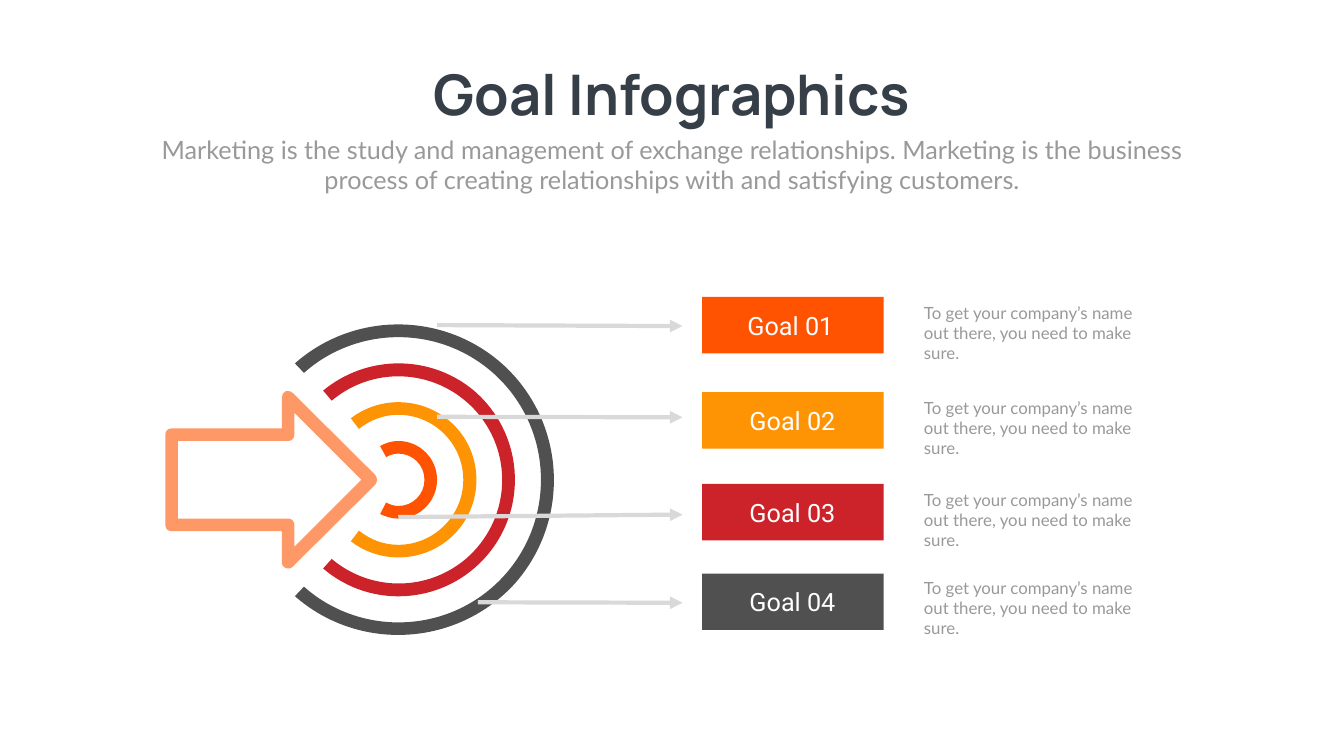
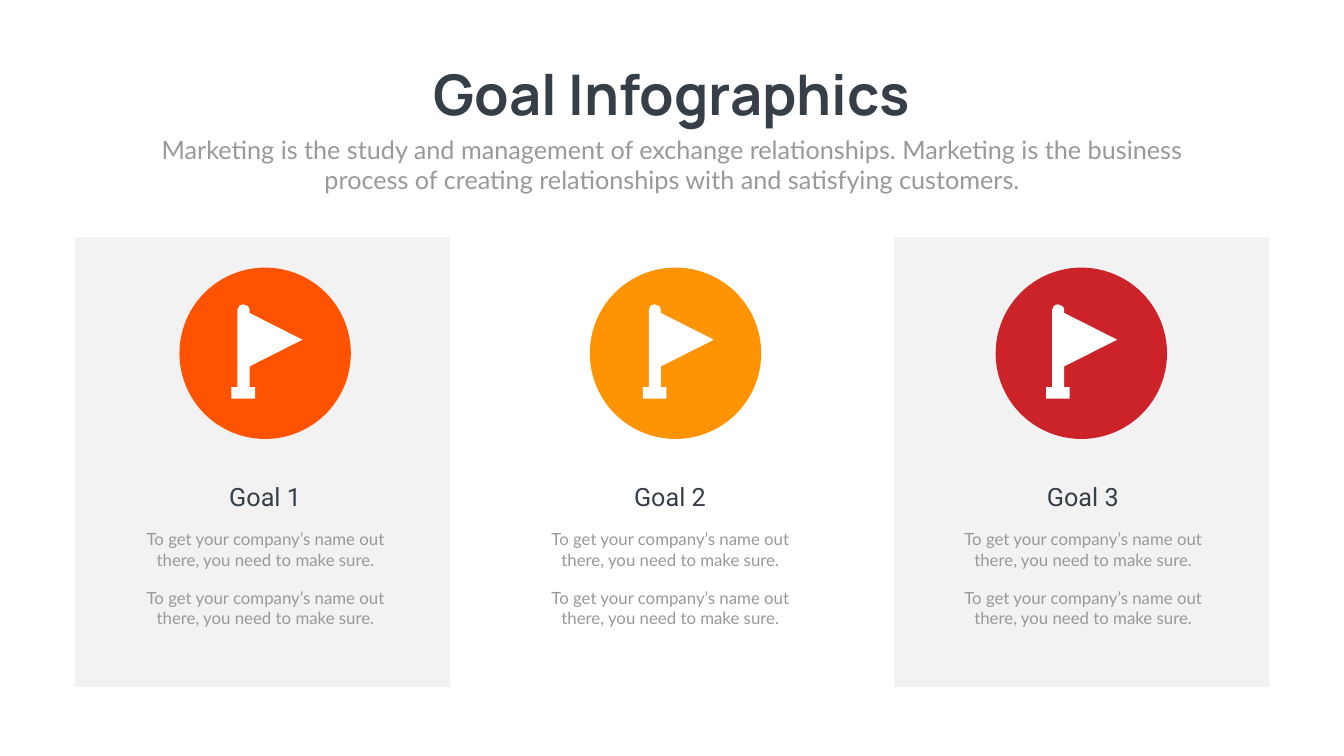
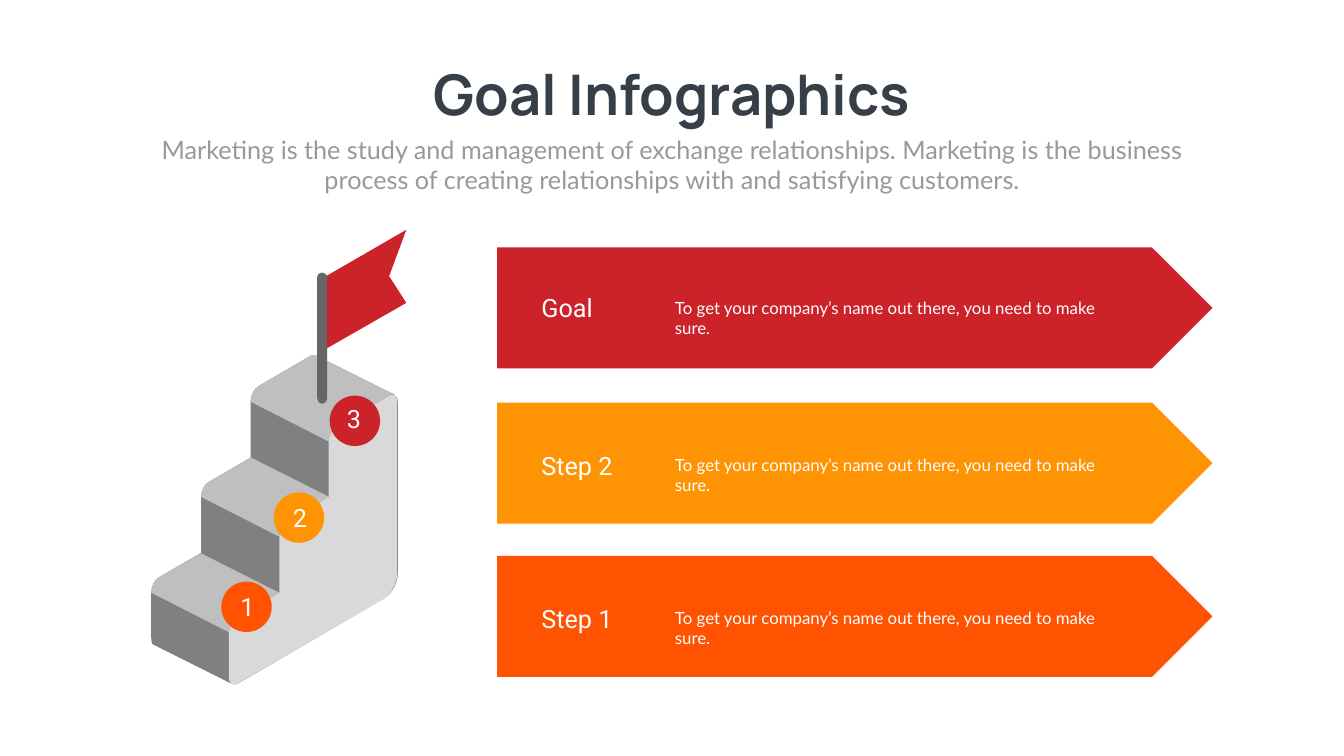
from typing import NamedTuple, Sequence

from lxml import etree
from pptx import Presentation
from pptx.dml.color import RGBColor
from pptx.enum.shapes import MSO_CONNECTOR, MSO_SHAPE
from pptx.enum.text import MSO_ANCHOR, MSO_AUTO_SIZE, PP_ALIGN
from pptx.oxml.ns import qn
from pptx.util import Inches, Pt

RECT, ELLIPSE, PLATE = MSO_SHAPE.RECTANGLE, MSO_SHAPE.OVAL, MSO_SHAPE.PENTAGON
STRAIGHT = MSO_CONNECTOR.STRAIGHT
LEFT, CENTER = PP_ALIGN.LEFT, PP_ALIGN.CENTER
TOP, MIDDLE = MSO_ANCHOR.TOP, MSO_ANCHOR.MIDDLE
GROW = MSO_AUTO_SIZE.SHAPE_TO_FIT_TEXT

WHITE = RGBColor(0xFF, 0xFF, 0xFF)
NAVY = RGBColor(0x36, 0x3E, 0x48)
TEXT_GREY = RGBColor(0x99, 0x99, 0x99)
PANEL = RGBColor(0xF2, 0xF2, 0xF2)
ORANGE = RGBColor(0xFF, 0x53, 0x01)
AMBER = RGBColor(0xFE, 0x93, 0x04)
RED = RGBColor(0xCC, 0x22, 0x29)
CHARCOAL = RGBColor(0x4F, 0x50, 0x4F)
PEACH = RGBColor(0xFF, 0x98, 0x67)
LIGHT_GREY = RGBColor(0xD9, 0xD9, 0xD9)
TREAD_GREY = RGBColor(0xBF, 0xBF, 0xBF)
RISER_GREY = RGBColor(0x80, 0x80, 0x80)
POLE_GREY = RGBColor(0x66, 0x66, 0x66)

TITLE = "Goal Infographics"
SUBTITLE = (
    "Marketing is the study and management of exchange relationships. "
    "Marketing is the business process of creating relationships with "
    "and satisfying customers."
)
BODY = "To get your company’s name out there, you need to make sure."

# A contour is a list of points (x, y) and cubic curves (x1, y1, x2, y2, x, y).
Contour = Sequence[tuple]


class TextStyle(NamedTuple):
    font: str
    size: int
    color: RGBColor
    align: PP_ALIGN = LEFT
    bold: bool = False


TITLE_STYLE = TextStyle("Manrope", 80, NAVY, CENTER, True)
SUBTITLE_STYLE = TextStyle("Lato", 36, TEXT_GREY, CENTER)
BODY_STYLE = TextStyle("Lato", 24, TEXT_GREY)
LABEL_STYLE = TextStyle("Roboto", 36, WHITE, CENTER)


class GoalRow(NamedTuple):
    label: str
    color: RGBColor
    top: float
    text_top: float
    label_left: float = 14.09


class Card(NamedTuple):
    label: str
    color: RGBColor
    circle_left: float
    text_left: float
    flag_left: float


class Plate(NamedTuple):
    label: str
    color: RGBColor
    top: float
    text_top: float


class Badge(NamedTuple):
    number: str
    color: RGBColor
    left: float
    top: float
    text_left: float
    text_top: float


ROWS = [
    GoalRow("Goal 01", ORANGE, 5.89, 5.95, 14.05),
    GoalRow("Goal 02", AMBER, 7.78, 7.84),
    GoalRow("Goal 03", RED, 9.6, 9.66),
    GoalRow("Goal 04", CHARCOAL, 11.38, 11.41),
]
POINTER_END = 13.54
POINTERS = [(7.9, 10.26, 10.21), (8.67, 6.45, 6.47), (8.67, 8.27, 8.28), (9.48, 11.95, 11.96)]

CARDS = [
    Card("Goal 1", ORANGE, 3.56, 2.47, 4.59),
    Card("Goal 2", AMBER, 11.7, 10.5, 12.75),
    Card("Goal 3", RED, 19.75, 18.69, 20.75),
]
PLATES = [
    Plate("Goal", RED, 4.91, 5.85),
    Plate("Step 2", AMBER, 7.99, 8.97),
    Plate("Step 1", ORANGE, 11.03, 12.01),
]
BADGES = [
    Badge("1", ORANGE, 4.39, 11.54, 4.35, 11.69),
    Badge("2", AMBER, 5.43, 9.77, 5.39, 9.92),
    Badge("3", RED, 6.54, 7.85, 6.46, 7.96),
]

ARROW_OUTER = [
    (3.41, 10.54), (5.59, 10.54), (5.59, 11.16),
    (5.59, 11.23, 5.65, 11.28, 5.72, 11.28), (5.76, 11.28, 5.78, 11.27, 5.81, 11.24),
    (7.44, 9.62), (7.49, 9.56, 7.49, 9.48, 7.44, 9.42), (5.81, 7.8),
    (5.78, 7.77, 5.75, 7.76, 5.72, 7.76), (5.7, 7.76, 5.69, 7.76, 5.67, 7.76),
    (5.63, 7.78, 5.59, 7.83, 5.59, 7.88),
    (5.59, 8.5), (3.41, 8.5), (3.34, 8.5, 3.28, 8.54, 3.28, 8.62),
    (3.28, 10.42), (3.28, 10.5, 3.34, 10.54, 3.41, 10.54),
]
ARROW_INNER = [
    (3.53, 8.75), (5.72, 8.75), (5.79, 8.75, 5.84, 8.69, 5.84, 8.62), (5.84, 8.19),
    (7.17, 9.52), (5.84, 10.85), (5.84, 10.42),
    (5.84, 10.35, 5.79, 10.29, 5.72, 10.29), (3.53, 10.29),
]
RED_RING = [
    (6.41, 11.28), (7.38, 12.11, 8.84, 11.99, 9.67, 11.01),
    (10.49, 10.04, 10.37, 8.58, 9.4, 7.75), (8.54, 7.03, 7.28, 7.03, 6.41, 7.75),
    (6.58, 7.95), (7.45, 7.22, 8.73, 7.33, 9.47, 8.19),
    (10.21, 9.06, 10.1, 10.35, 9.24, 11.09), (8.47, 11.74, 7.35, 11.74, 6.58, 11.09),
]
AMBER_RING = [
    (6.96, 10.74), (7.23, 10.95, 7.57, 11.06, 7.9, 11.06),
    (8.76, 11.06, 9.45, 10.38, 9.45, 9.52), (9.45, 8.66, 8.76, 7.98, 7.9, 7.98),
    (7.57, 7.98, 7.23, 8.09, 6.96, 8.3), (7.12, 8.51),
    (7.35, 8.33, 7.61, 8.23, 7.9, 8.23), (8.61, 8.23, 9.19, 8.81, 9.19, 9.52),
    (9.19, 10.23, 8.61, 10.81, 7.9, 10.81), (7.61, 10.81, 7.35, 10.71, 7.12, 10.53),
]
ORANGE_RING = [
    (7.9, 10.29), (8.33, 10.29, 8.67, 9.94, 8.67, 9.52),
    (8.67, 9.1, 8.33, 8.75, 7.9, 8.75), (7.77, 8.75, 7.65, 8.79, 7.54, 8.85),
    (7.66, 9.07), (7.73, 9.03, 7.82, 9, 7.9, 9),
    (8.19, 9, 8.42, 9.23, 8.42, 9.52), (8.42, 9.81, 8.19, 10.04, 7.9, 10.04),
    (7.82, 10.04, 7.73, 10.01, 7.66, 9.97), (7.54, 10.2),
    (7.65, 10.25, 7.77, 10.29, 7.9, 10.29),
]
CHARCOAL_RING = [
    (7.9, 6.69), (9.47, 6.69, 10.73, 7.95, 10.73, 9.52),
    (10.73, 11.09, 9.47, 12.35, 7.9, 12.35), (7.22, 12.35, 6.54, 12.1, 6.03, 11.64),
    (5.85, 11.83), (7.13, 12.95, 9.08, 12.83, 10.22, 11.57),
    (11.34, 10.29, 11.22, 8.34, 9.95, 7.21), (8.78, 6.18, 7.02, 6.18, 5.85, 7.21),
    (6.03, 7.4), (6.54, 6.94, 7.22, 6.69, 7.9, 6.69),
]
RINGS = [(RED, RED_RING), (AMBER, AMBER_RING), (ORANGE, ORANGE_RING), (CHARCOAL, CHARCOAL_RING)]

FLAG_ICON = [
    (0.36, 1.23), (1.41, 0.7), (0.36, 0.17), (0.36, 0.11),
    (0.36, 0.05, 0.3, 0, 0.24, 0), (0.17, 0, 0.12, 0.05, 0.12, 0.11),
    (0.12, 1.64), (0, 1.64), (0, 1.87), (0.47, 1.87), (0.47, 1.64), (0.36, 1.64),
]
STAIR_BACK = [
    (7.82, 7.83), (6.28, 7.06), (6.24, 7.04, 6.22, 7.04, 6.16, 7.06),
    (5.13, 7.66), (5.04, 7.71, 4.97, 7.85, 4.97, 7.97), (4.97, 9.08),
    (4.15, 9.56), (4.06, 9.61, 3.99, 9.74, 3.99, 9.86), (3.99, 10.97),
    (3.16, 11.45), (3.06, 11.5, 3, 11.64, 3, 11.76), (3, 12.66),
    (3, 12.71, 3.01, 12.75, 3.02, 12.78), (4.6, 13.57),
    (4.63, 13.58, 4.67, 13.58, 4.71, 13.57), (7.62, 11.87),
    (7.77, 11.8, 7.89, 11.57, 7.89, 11.37), (7.89, 7.97),
    (7.89, 7.9, 7.86, 7.86, 7.82, 7.83),
]
STAIR_SIDE = [
    (6.52, 8.76), (6.52, 9.86), (5.7, 10.35), (5.6, 10.39, 5.54, 10.54, 5.54, 10.64),
    (5.54, 11.76), (4.7, 12.25), (4.61, 12.3, 4.54, 12.43, 4.54, 12.55),
    (4.54, 13.44), (4.54, 13.56, 4.61, 13.61, 4.7, 13.57), (7.62, 11.88),
    (7.76, 11.8, 7.88, 11.57, 7.88, 11.37), (7.88, 7.97),
    (7.88, 7.85, 7.8, 7.8, 7.72, 7.85), (6.68, 8.46),
    (6.6, 8.5, 6.52, 8.64, 6.52, 8.76),
]
LOW_TREAD = [
    (4.71, 12.25), (5.54, 11.76), (3.99, 10.98), (3.16, 11.45),
    (3.06, 11.5, 3, 11.64, 3, 11.76), (4.55, 12.55), (4.55, 12.43, 4.61, 12.3, 4.71, 12.25),
]
TOP_TREAD = [
    (6.68, 8.46), (7.72, 7.85), (7.75, 7.82, 7.79, 7.82, 7.82, 7.83),
    (6.28, 7.06), (6.24, 7.04, 6.21, 7.04, 6.16, 7.06), (5.13, 7.66),
    (5.04, 7.71, 4.97, 7.85, 4.97, 7.97), (6.52, 8.76), (6.52, 8.64, 6.6, 8.5, 6.68, 8.46),
]
BANNER = [(8.06, 6.01), (6.4, 6.96), (6.4, 5.52), (8.06, 4.56), (7.72, 5.48)]
POLE = [
    (6.4, 8.01), (6.33, 8.01, 6.29, 7.96, 6.29, 7.9), (6.29, 5.52),
    (6.29, 5.45, 6.33, 5.41, 6.4, 5.41), (6.45, 5.41, 6.49, 5.45, 6.49, 5.52),
    (6.49, 7.9), (6.49, 7.96, 6.45, 8.01, 6.4, 8.01),
]


def paint(sp, color: RGBColor) -> None:
    sp.shadow.inherit = False
    sp.fill.solid()
    sp.fill.fore_color.rgb = color
    sp.line.fill.background()


def add_block(s, kind, box: tuple, color: RGBColor) -> None:
    paint(s.shapes.add_shape(kind, *map(Inches, box)), color)


def write(sp, text: str, style: TextStyle, wrap: bool = True, anchor=TOP) -> None:
    tf = sp.text_frame
    frame_format = {"word_wrap": wrap, "auto_size": GROW, "vertical_anchor": anchor}
    for name, value in frame_format.items():
        setattr(tf, name, value)
    p = tf.paragraphs[0]
    p.alignment = style.align
    r = p.add_run()
    r.text = text
    font_format = {"name": style.font, "size": Pt(style.size), "bold": style.bold}
    for name, value in font_format.items():
        setattr(r.font, name, value)
    r.font.color.rgb = style.color


def add_text(s, box: tuple, text: str, style: TextStyle) -> None:
    write(s.shapes.add_textbox(*map(Inches, box)), text, style)


def shift(contour: Contour, dx: float, dy: float) -> Contour:
    return [tuple(v + (dy if i % 2 else dx) for i, v in enumerate(seg)) for seg in contour]


def points_of(contour: Contour) -> list:
    return [(Inches(seg[i]), Inches(seg[i + 1]))
            for seg in contour for i in range(0, len(seg), 2)]


def bend_curves(sp, contours: Sequence[Contour]) -> None:
    """Merge the three line steps that stand for each curve into one cubic."""
    lines = sp._element.iter(qn("a:lnTo"))
    steps = iter(list(lines))
    for seg in (seg for contour in contours for seg in contour[1:]):
        first = next(steps)
        if len(seg) == 6:
            first.tag = qn("a:cubicBezTo")
            for _ in range(2):
                extra = next(steps)
                first.append(extra[0])
                extra.getparent().remove(extra)


def add_outline(s, color: RGBColor, *contours: Contour) -> None:
    """Draw one filled freeform; contours after the first are holes."""
    first, *holes = map(points_of, contours)
    builder = s.shapes.build_freeform(*first[0], scale=1.0)
    builder.add_line_segments(first[1:], close=True)
    for hole in holes:
        builder.move_to(*hole[0])
        builder.add_line_segments(hole[1:], close=True)
    sp = builder.convert_to_shape()
    bend_curves(sp, contours)
    paint(sp, color)


def add_pointer(s, x: float, y: float, end_y: float) -> None:
    line = s.shapes.add_connector(
        STRAIGHT, Inches(x), Inches(y), Inches(POINTER_END), Inches(end_y))
    line.line.color.rgb = LIGHT_GREY
    line.line.width = Pt(6)
    etree.SubElement(line.line._get_or_add_ln(), qn("a:tailEnd"), type="triangle")
    etree.SubElement(line._element.spPr, qn("a:effectLst"))


def add_titled_slide(prs):
    s = prs.slides.add_slide(prs.slide_layouts[5])
    title = s.shapes.title
    title.left, title.top, title.width, title.height = map(Inches, (8.1, 1.12, 10.47, 1.45))
    write(title, TITLE, TITLE_STYLE, wrap=False, anchor=MIDDLE)
    add_text(s, (2.92, 2.61, 20.82, 1.31), SUBTITLE, SUBTITLE_STYLE)
    return s


def build_target(prs) -> None:
    s = add_titled_slide(prs)
    add_outline(s, PEACH, ARROW_OUTER, ARROW_INNER)
    for color, contour in RINGS:
        add_outline(s, color, contour)
    for pointer in POINTERS:
        add_pointer(s, *pointer)
    for row in ROWS:
        add_block(s, RECT, (13.93, row.top, 3.6, 1.12), row.color)
        add_text(s, (row.label_left, row.top + 0.21, 3.26, 0.71), row.label, LABEL_STYLE)
        add_text(s, (18.23, row.text_top, 4.86, 0.91), BODY, BODY_STYLE)


def build_cards(prs) -> None:
    s = add_titled_slide(prs)
    for left in (1.49, 17.74):
        add_block(s, RECT, (left, 4.71, 7.44, 8.92), PANEL)
    for card in CARDS:
        add_block(s, ELLIPSE, (card.circle_left, 5.31, 3.4, 3.4), card.color)
        add_outline(s, WHITE, shift(FLAG_ICON, card.flag_left, 6.04))
        add_text(s, (card.text_left + 1.16, 9.5, 3.26, 0.71), card.label,
                 LABEL_STYLE._replace(color=NAVY))
        for top in (10.45, 11.61):
            add_text(s, (card.text_left, top, 5.59, 0.91), BODY,
                     BODY_STYLE._replace(align=CENTER))


def build_stairs(prs) -> None:
    s = add_titled_slide(prs)
    parts = [
        (RISER_GREY, STAIR_BACK),
        (LIGHT_GREY, STAIR_SIDE),
        (TREAD_GREY, LOW_TREAD),
        (TREAD_GREY, shift(LOW_TREAD, 0.99, -1.9)),
        (TREAD_GREY, TOP_TREAD),
        (RED, BANNER),
        (POLE_GREY, POLE),
    ]
    for color, contour in parts:
        add_outline(s, color, contour)
    for badge in BADGES:
        add_block(s, ELLIPSE, (badge.left, badge.top, 1, 1), badge.color)
        add_text(s, (badge.text_left, badge.text_top, 1.12, 0.73), badge.number, LABEL_STYLE)
    for plate in PLATES:
        add_block(s, PLATE, (9.86, plate.top, 14.19, 2.4), plate.color)
        add_text(s, (13.29, plate.text_top, 9.15, 0.5), BODY, BODY_STYLE._replace(color=WHITE))
        add_text(s, (10.64, plate.text_top - 0.09, 2.65, 0.71), plate.label,
                 LABEL_STYLE._replace(align=LEFT))


def main() -> None:
    prs = Presentation()
    prs.slide_width, prs.slide_height = Inches(26.66), Inches(15)
    for build in (build_target, build_cards, build_stairs):
        build(prs)
    prs.save("out.pptx")


if __name__ == "__main__":
    main()
